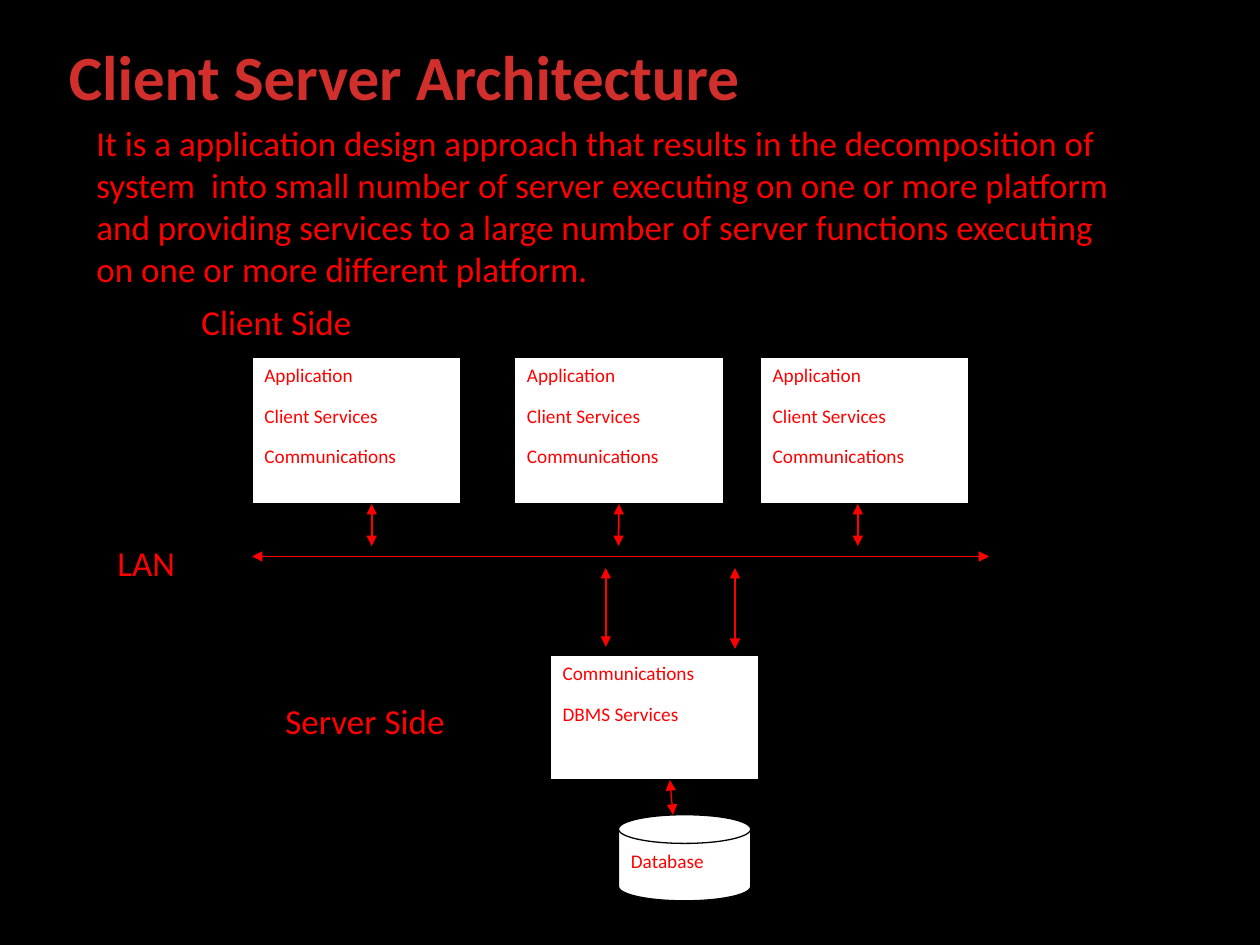
"""Build a slide explaining client server architecture with a network diagram."""
from lxml import etree
from pptx import Presentation
from pptx import util as u
from pptx.dml.color import RGBColor
from pptx.enum import shapes, text
from pptx.oxml import ns

BLACK = RGBColor(0x00, 0x00, 0x00)
WHITE = RGBColor(0xFF, 0xFF, 0xFF)
RED = RGBColor(0xFF, 0x00, 0x00)
TITLE_RED = RGBColor(0xD0, 0x2F, 0x2C)

presentation = Presentation()
presentation.slide_width, presentation.slide_height = u.Inches(10), u.Inches(7.5)
COLUMN = presentation.slide_width / 120
ROW = presentation.slide_height / 90
slide = presentation.slides.add_slide(presentation.slide_layouts[5])
slide.background.fill.solid()
slide.background.fill.fore_color.rgb = BLACK


def grid(left, top, width, height):
    return [round(n * step) for n, step in zip((left, top, width, height), (COLUMN, ROW) * 2)]


def write(shape, lines, size, color, space_after=0, alignment=text.PP_ALIGN.LEFT):
    frame = shape.text_frame
    frame.text = "\n".join(lines)
    frame.word_wrap = True
    frame.vertical_anchor = text.MSO_ANCHOR.TOP
    for paragraph in frame.paragraphs:
        paragraph.alignment = alignment
        paragraph.space_after = u.Pt(space_after)
        paragraph.font.name = "Calibri"
        paragraph.font.size = u.Pt(size)
        paragraph.font.color.rgb = color


title = slide.shapes.title
title.left, title.top, title.width, title.height = grid(5, 3, 67, 8.5)
write(title, ["Client Server Architecture"], 36, TITLE_RED, alignment=text.PP_ALIGN.CENTER)
title.text_frame.word_wrap = False
title.text_frame.paragraphs[0].font.bold = True

DESCRIPTION = (
    "It is a application design approach that results in the decomposition of "
    "system  into small number of server executing on one or more platform "
    "and providing services to a large number of server functions executing "
    "on one or more different platform."
)
for label, place in (
    (DESCRIPTION, (8, 11, 100, 17.4)),
    ("Client Side", (18, 28, 18, 5.3)),
    ("LAN", (10, 51, 12, 5.3)),
    ("Server Side", (26, 66, 22, 5.3)),
):
    text_box = slide.shapes.add_textbox(*grid(*place))
    write(text_box, [label], 20, RED)
    text_box.text_frame.auto_size = text.MSO_AUTO_SIZE.SHAPE_TO_FIT_TEXT

RECTANGLE = shapes.MSO_SHAPE.RECTANGLE
DISK = shapes.MSO_SHAPE.FLOWCHART_MAGNETIC_DISK
CLIENT = ["Application", "Client Services", "Communications"]
nodes = []
for kind, place, lines in (
    *((RECTANGLE, (left, 34, 19.9, 14), CLIENT) for left in (24, 49, 72.4)),
    (RECTANGLE, (52.4, 62.4, 19.9, 11.9), ["Communications", "DBMS Services"]),
    (DISK, (58.9, 77.6, 12.6, 8.2), ["Database"]),
):
    node = slide.shapes.add_shape(kind, *grid(*place))
    node.shadow.inherit = False
    node.fill.solid()
    node.fill.fore_color.rgb = WHITE
    node.line.color.rgb = BLACK
    node.line.width = u.Pt(0.75)
    write(node, lines, 11, RED, space_after=10)
    nodes.append(node)

arrows = []
for start_x, start_y, end_x, end_y, weight in (
    (24, 53, 94.2, 53, 1),
    *((x, 52, x, 48, 1) for x in (35.4, 58.9, 81.7)),
    (57.7, 54.1, 57.7, 61.6, 1),
    (70, 61.8, 70, 54.1, 1),
    (63.8, 74.3, 64.1, 77.6, 0.75),
):
    arrow = slide.shapes.add_connector(
        shapes.MSO_CONNECTOR.STRAIGHT, *grid(start_x, start_y, end_x, end_y)
    )
    arrow.line.color.rgb = RED
    arrow.line.width = u.Pt(weight)
    for end in ("a:headEnd", "a:tailEnd"):
        etree.SubElement(arrow.line._get_or_add_ln(), ns.qn(end), type="triangle")
    etree.SubElement(arrow._element.spPr, ns.qn("a:effectLst"))
    arrows.append(arrow)
arrows[2].end_connect(nodes[1], 2)

presentation.save("out.pptx")
